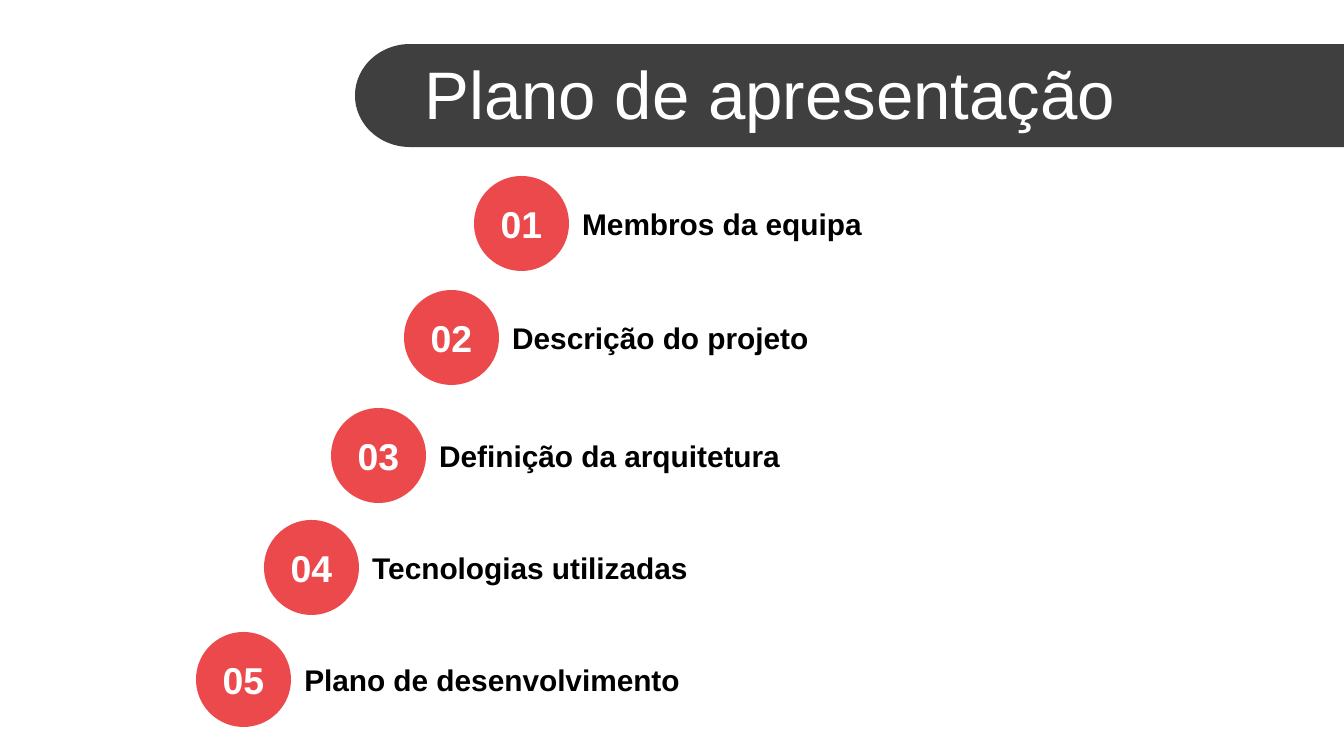
from math import cos, pi, sin

from pptx import Presentation
from pptx.dml.color import RGBColor
from pptx.enum.shapes import MSO_SHAPE
from pptx.enum.text import MSO_ANCHOR, MSO_AUTO_SIZE, PP_ALIGN
from pptx.util import Emu, Pt

EMU_PER_PX = 914400 / 134.4
SLIDE_WIDTH, SLIDE_HEIGHT = 1344, 756
CIRCLE_SIZE = 95
ARC_STEPS = 48

DARK = "3F3F3F"
RED = "EB494B"
WHITE = "FFFFFF"
BLACK = "000000"

# Circle left, circle top, label width, label
AGENDA = [
    (474, 176, 325, "Membros da equipa"),
    (404, 290, 325, "Descrição do projeto"),
    (331, 408, 372, "Definição da arquitetura"),
    (264, 520, 344, "Tecnologias utilizadas"),
    (196, 632, 413, "Plano de desenvolvimento"),
]


def px(length):
    return Emu(round(length * EMU_PER_PX))


def color(hex_value):
    return RGBColor.from_string(hex_value)


def paint(shape, fill):
    shape.shadow.inherit = False
    shape.fill.solid()
    shape.fill.fore_color.rgb = color(fill)
    shape.line.fill.background()


def write(shape, text, size, hex_value, bold=False, align=PP_ALIGN.LEFT):
    frame = shape.text_frame
    frame.text = text
    frame.word_wrap = True
    paragraph = frame.paragraphs[0]
    paragraph.alignment = align
    font = paragraph.runs[0].font
    font.name = "Arial"
    font.size = Pt(size)
    font.bold = bold
    font.color.rgb = color(hex_value)
    return frame


def add_banner(slide, left, top, width, height, cap):
    """Draw a bar with a rounded left end, cap px deep, behind the title."""
    right, bottom = left + width, top + height
    radius = height / 2
    angles = [pi * step / ARC_STEPS for step in range(1, ARC_STEPS)]
    arc = [(left + cap - cap * sin(a), top + radius + radius * cos(a)) for a in angles]
    points = [(right, top), (right, bottom), (left + cap, bottom), *arc]
    builder = slide.shapes.build_freeform(px(left + cap), px(top))
    builder.add_line_segments([(px(x), px(y)) for x, y in points], close=True)
    banner = builder.convert_to_shape()
    paint(banner, DARK)
    slide.shapes.title.element.addprevious(banner.element)


def set_title(slide, text, left, top, width, height):
    title = slide.shapes.title
    title.left, title.top = px(left), px(top)
    title.width, title.height = px(width), px(height)
    frame = write(title, text, 36, WHITE)
    frame.vertical_anchor = MSO_ANCHOR.MIDDLE
    frame.auto_size = MSO_AUTO_SIZE.NONE


def add_number(slide, number, left, top):
    circle = slide.shapes.add_shape(
        MSO_SHAPE.OVAL, px(left), px(top), px(CIRCLE_SIZE), px(CIRCLE_SIZE)
    )
    paint(circle, RED)
    frame = write(circle, f"{number:02d}", 20, WHITE, True, PP_ALIGN.CENTER)
    frame.vertical_anchor = MSO_ANCHOR.MIDDLE
    frame.margin_left = frame.margin_right = 0


def add_label(slide, text, left, top, width):
    label = slide.shapes.add_textbox(px(left), px(top), px(width), px(50))
    frame = write(label, text, 16, BLACK, True)
    frame.auto_size = MSO_AUTO_SIZE.SHAPE_TO_FIT_TEXT


def main():
    presentation = Presentation()
    presentation.slide_width = px(SLIDE_WIDTH)
    presentation.slide_height = px(SLIDE_HEIGHT)
    slide = presentation.slides.add_slide(presentation.slide_layouts[5])

    add_banner(slide, 355, 44, SLIDE_WIDTH - 355, 103, 55)
    set_title(slide, "Plano de apresentação", 411, 50, SLIDE_WIDTH - 411, 85)
    for number, (left, top, width, text) in enumerate(AGENDA, start=1):
        add_number(slide, number, left, top)
        add_label(slide, text, left + CIRCLE_SIZE, top + 23, width)

    presentation.save("out.pptx")


if __name__ == "__main__":
    main()
